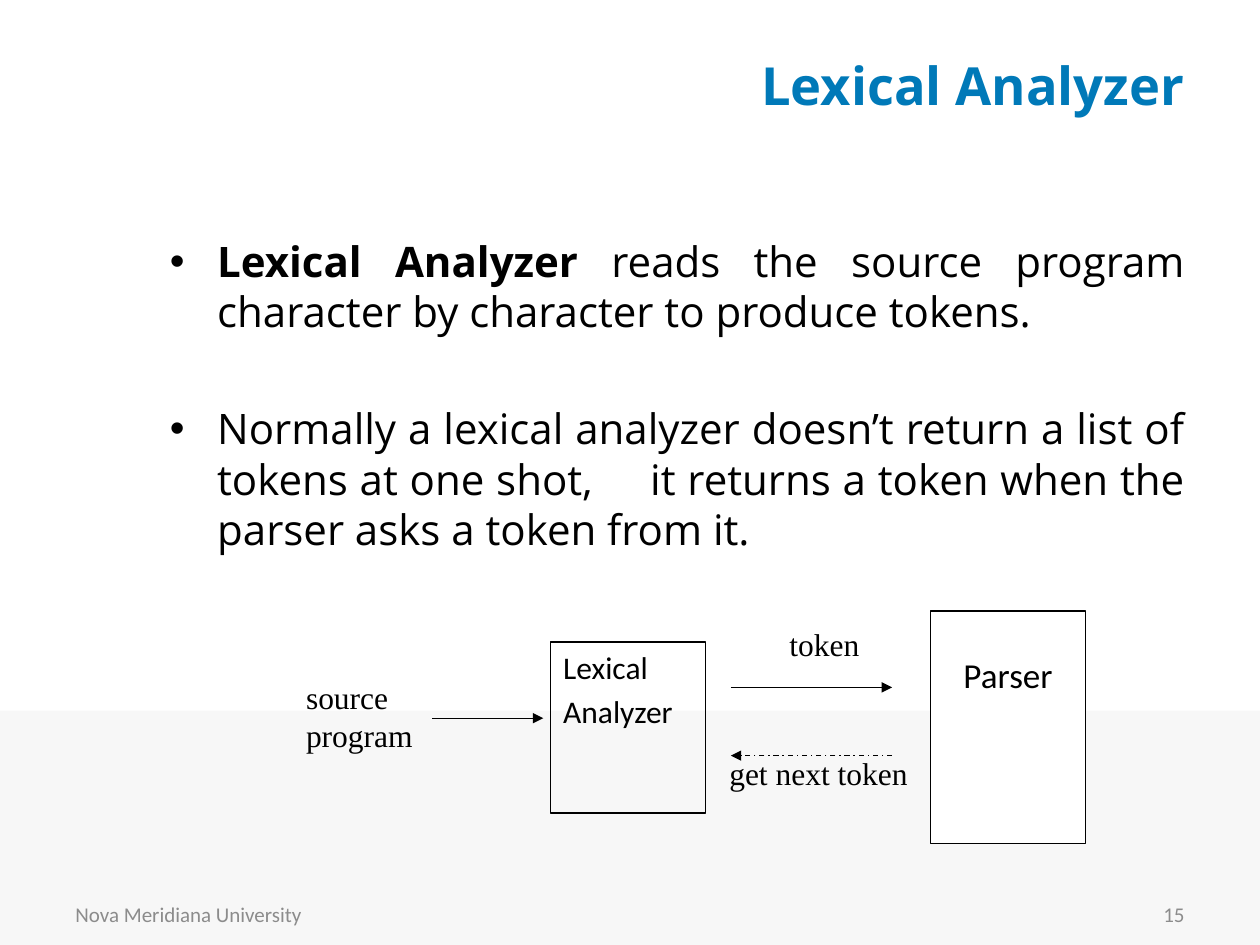
from lxml import etree
from pptx import Presentation
from pptx.dml.color import RGBColor
from pptx.enum.dml import MSO_LINE
from pptx.enum.shapes import MSO_CONNECTOR, MSO_SHAPE
from pptx.enum.text import MSO_ANCHOR, PP_ALIGN
from pptx.oxml.ns import qn
from pptx.util import Pt

LEFT, CENTER, RIGHT = PP_ALIGN.LEFT, PP_ALIGN.CENTER, PP_ALIGN.RIGHT
JUSTIFY = PP_ALIGN.JUSTIFY
TOP, MIDDLE = MSO_ANCHOR.TOP, MSO_ANCHOR.MIDDLE
RECT, STRAIGHT = MSO_SHAPE.RECTANGLE, MSO_CONNECTOR.STRAIGHT
DASH_DOT = MSO_LINE.DASH_DOT
TITLE_ONLY = 5

BLACK, BLUE, GREY = "000000", "0079B8", "8C8C8C"
BAND, WHITE = "F7F7F7", "FFFFFF"
LABEL_FONT = {"name": "Times New Roman", "size": Pt(18)}
BOX_FONT = {"name": "Calibri", "size": Pt(18)}
FOOTER_FONT = {"name": "Calibri", "size": Pt(12)}
BODY_FONT = {"name": "Open Sans", "size": Pt(24), "bold": False}
BODY_BOLD = {**BODY_FONT, "bold": True}
TITLE_FONT = {"name": "Open Sans", "size": Pt(30), "bold": True}


def rgb(value):
    return RGBColor.from_string(value)


def set_attrs(obj, values):
    for name, value in values.items():
        setattr(obj, name, value)


def place(sp, left, top, width, height):
    set_attrs(sp, {"left": Pt(left), "top": Pt(top),
                   "width": Pt(width), "height": Pt(height)})


def add_run(p, text, font, color=BLACK, spacing=0):
    r = p.add_run()
    r.text = text
    set_attrs(r.font, font)
    r.font.color.rgb = rgb(color)
    if spacing:
        r._r.get_or_add_rPr().set("spc", str(spacing * 100))


def write(sp, lines, font, color=BLACK, align=LEFT, anchor=TOP, wrap=True,
          before=0):
    tf = sp.text_frame
    set_attrs(tf, {"word_wrap": wrap, "vertical_anchor": anchor})
    for i, line in enumerate(lines):
        p = tf.add_paragraph() if i else tf.paragraphs[0]
        set_attrs(p, {"alignment": align, "space_before": Pt(before)})
        add_run(p, line, font, color)
    return tf


def add_text(s, box, lines, font, **options):
    sp = s.shapes.add_textbox(*map(Pt, box))
    return write(sp, lines, font, **options)


def add_box(s, box, fill=None, line=None):
    sp = s.shapes.add_shape(RECT, *map(Pt, box))
    sp.shadow.inherit = False
    if fill:
        sp.fill.solid()
        sp.fill.fore_color.rgb = rgb(fill)
    else:
        sp.fill.background()
    if line:
        sp.line.color.rgb = rgb(line)
        sp.line.width = Pt(0.75)
    else:
        sp.line.fill.background()
    return sp


def add_arrow(s, x1, x2, y, dash=None):
    c = s.shapes.add_connector(STRAIGHT, Pt(x1), Pt(y), Pt(x2), Pt(y))
    c.line.color.rgb = rgb(BLACK)
    c.line.width = Pt(0.75)
    if dash:
        c.line.dash_style = dash
    tail = etree.SubElement(c.line._get_or_add_ln(), qn("a:tailEnd"))
    tail.set("type", "triangle")
    etree.SubElement(c._element.spPr, qn("a:effectLst"))


def add_bullets(s, box, items, gap):
    tf = s.shapes.add_textbox(*map(Pt, box)).text_frame
    tf.word_wrap = True
    for i, runs in enumerate(items):
        p = tf.add_paragraph() if i else tf.paragraphs[0]
        set_attrs(p, {"alignment": JUSTIFY,
                      "space_before": Pt(gap if i else 0)})
        pPr = p._p.get_or_add_pPr()
        pPr.set("marL", str(Pt(27)))
        pPr.set("indent", str(-Pt(27)))
        etree.SubElement(pPr, qn("a:buFont")).set("typeface", "Arial")
        etree.SubElement(pPr, qn("a:buChar")).set("char", "•")
        for text, font, spacing in runs:
            add_run(p, text, font, spacing=spacing)


def add_diagram(s):
    # Lexical analyzer and parser boxes
    lexer = add_box(s, (314.8, 366.8, 88.5, 97.8), line=BLACK)
    write(lexer, ["Lexical", "Analyzer"], BOX_FONT, before=3.6)
    parser = add_box(s, (531.8, 349.2, 88.5, 132.8), WHITE, BLACK)
    tf = write(parser, ["Parser"], {**BOX_FONT, "size": Pt(20)}, align=CENTER)
    tf.margin_top = Pt(24.2)

    # Arrows between the stages
    add_arrow(s, 247, 310.5, 410.4)
    add_arrow(s, 417.6, 509.8, 392.8)
    add_arrow(s, 509.8, 417.6, 431.8, DASH_DOT)

    # Arrow labels
    add_text(s, (167.8, 383.8, 79.2, 82.8), ["source", "program"],
             LABEL_FONT, wrap=False)
    tf = add_text(s, (434.9, 353.5, 66.2, 47.5), ["token"],
                  LABEL_FONT, wrap=False)
    tf.margin_left = Pt(16.2)
    add_text(s, (409.7, 427.4, 122.4, 47.5), ["get next token"],
             LABEL_FONT, wrap=False)


def main():
    prs = Presentation()
    prs.slide_width, prs.slide_height = Pt(720), Pt(540)
    s = prs.slides.add_slide(prs.slide_layouts[TITLE_ONLY])

    # Bottom band
    add_box(s, (0, 406, 720, 134), BAND)

    # Title
    title = s.shapes.title
    place(title, 306, 6.5, 378, 84)
    write(title, ["Lexical Analyzer"], TITLE_FONT, color=BLUE,
          align=RIGHT, anchor=MIDDLE)

    # Body, with one widened space in the second bullet
    add_bullets(s, (90, 131, 594, 306), [
        [("Lexical Analyzer", BODY_BOLD, 0),
         (" reads the source program character by character to produce "
          "tokens.", BODY_FONT, 0)],
        [("Normally a lexical analyzer doesn’t return a list of tokens at "
          "one shot,", BODY_FONT, 0),
         (" ", BODY_FONT, 26),
         ("it returns a token when the parser asks a token from it.",
          BODY_FONT, 0)],
    ], gap=38)

    # Footer
    for left, text, align in ((36, "Nova Meridiana University", LEFT),
                              (516, "15", RIGHT)):
        add_text(s, (left, 508, 168, 28.8), [text], FOOTER_FONT,
                 color=GREY, align=align, anchor=MIDDLE)

    add_diagram(s)
    prs.save("out.pptx")


if __name__ == "__main__":
    main()
